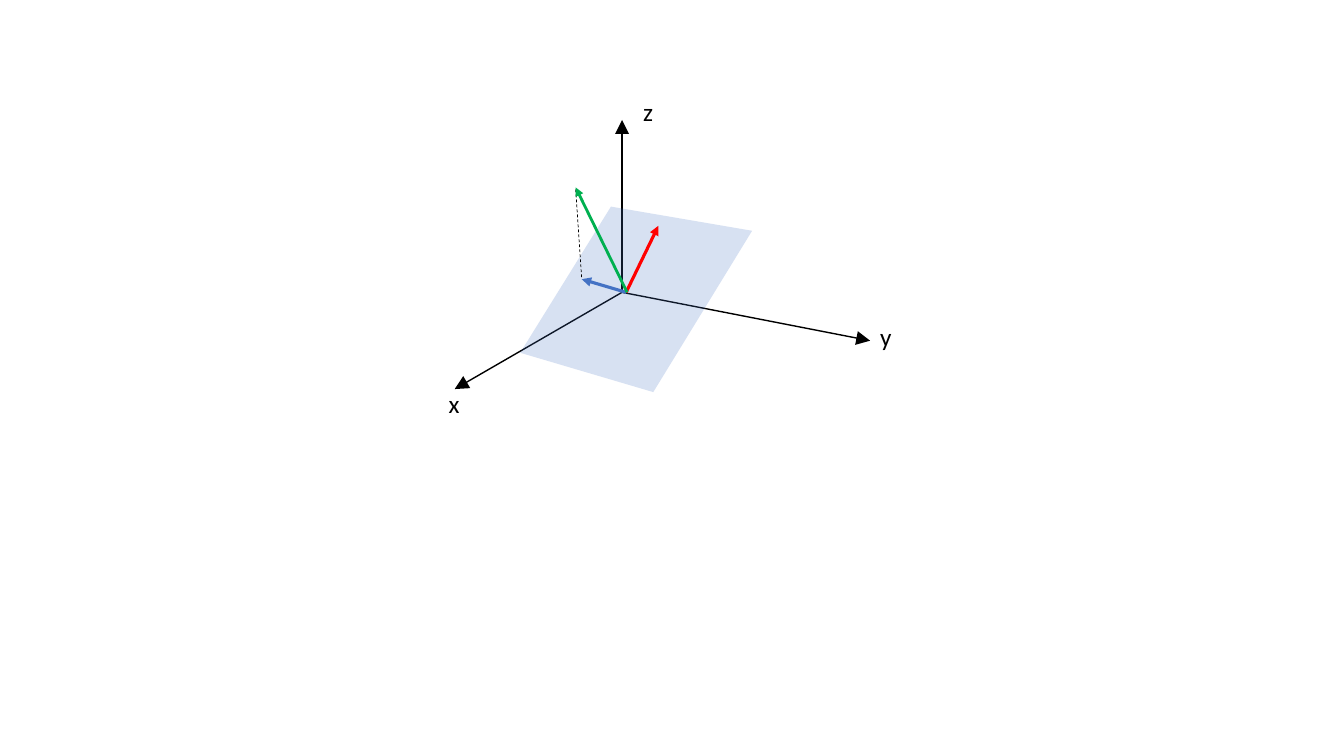
"""Draw three vectors and a plane in a three-dimensional coordinate system."""
from dataclasses import dataclass

from lxml.etree import SubElement
from pptx import Presentation
from pptx.dml.color import RGBColor
from pptx.enum.dml import MSO_LINE
from pptx.enum.shapes import MSO_CONNECTOR
from pptx.enum.text import MSO_AUTO_SIZE
from pptx.oxml.ns import qn
from pptx.util import Inches, Pt


@dataclass(frozen=True)
class Theme:
    font: str = "Calibri"
    label_size: float = 18
    axis_width: float = 1
    vector_width: float = 2.25
    sum_width: float = 2
    guide_width: float = 0.5
    black: str = "000000"
    blue: str = "4472C4"
    red: str = "FF0000"
    green: str = "00B050"
    plane_opacity: int = 21000


THEME = Theme()
ORIGIN = (6.17, 2.9)
AXIS_TIPS = [(6.17, 1.19), (4.51, 3.86), (8.63, 3.38)]
PLANE = [(5.16, 3.5), (6.06, 2.05), (7.46, 2.29), (6.48, 3.89)]
LABELS = [
    ("x", 4.35, 3.8, 0.31),
    ("y", 8.63, 3.14, 0.32),
    ("z", 6.28, 0.91, 0.3),
]
LABEL_HEIGHT = 0.4
NORMAL = ((6.21, 2.9), (6.53, 2.24))
PROJECTION = ((6.21, 2.9), (5.77, 2.77))
GUIDE = ((5.71, 1.88), (5.77, 2.77))
VECTOR = ((6.22, 2.9), (5.71, 1.86))


def add_line(page, start, end, color, width, head=None, dash=None):
    ends = [Inches(value) for value in (*start, *end)]
    line = page.shapes.add_connector(MSO_CONNECTOR.STRAIGHT, *ends)
    line.line.color.rgb = RGBColor.from_string(color)
    line.line.width = Pt(width)
    if dash:
        line.line.dash_style = dash
    properties = line._element.spPr
    if head:
        outline = properties.find(qn("a:ln"))
        SubElement(outline, qn("a:tailEnd"), type="triangle", w=head, len=head)
    SubElement(properties, qn("a:effectLst"))


def add_plane(page):
    corners = [(Inches(x), Inches(y)) for x, y in PLANE]
    builder = page.shapes.build_freeform(*corners[0])
    builder.add_line_segments(corners[1:], close=True)
    plane = builder.convert_to_shape()
    plane.shadow.inherit = False
    plane.fill.solid()
    plane.fill.fore_color.rgb = RGBColor.from_string(THEME.blue)
    color = plane._element.spPr.find(qn("a:solidFill")).find(qn("a:srgbClr"))
    SubElement(color, qn("a:alpha"), val=str(THEME.plane_opacity))
    plane.line.fill.background()


def add_label(page, text, left, top, width):
    place = [Inches(value) for value in (left, top, width, LABEL_HEIGHT)]
    box = page.shapes.add_textbox(*place)
    frame = box.text_frame
    frame.word_wrap = False
    frame.auto_size = MSO_AUTO_SIZE.SHAPE_TO_FIT_TEXT
    para = frame.paragraphs[0]
    span = para.add_run()
    span.text = text
    span.font.name = THEME.font
    span.font.size = Pt(THEME.label_size)
    span.font.color.rgb = RGBColor.from_string(THEME.black)


def main():
    deck = Presentation()
    deck.slide_width, deck.slide_height = Inches(13.33), Inches(7.5)
    page = deck.slides.add_slide(deck.slide_layouts[6])
    for tip in AXIS_TIPS:
        add_line(page, ORIGIN, tip, THEME.black, THEME.axis_width, head="lg")
    add_plane(page)
    for label in LABELS:
        add_label(page, *label)
    add_line(page, *NORMAL, THEME.red, THEME.vector_width, head="med")
    add_line(page, *PROJECTION, THEME.blue, THEME.vector_width, head="med")
    add_line(page, *GUIDE, THEME.black, THEME.guide_width, dash=MSO_LINE.DASH)
    add_line(page, *VECTOR, THEME.green, THEME.sum_width, head="med")
    deck.save("out.pptx")


if __name__ == "__main__":
    main()
